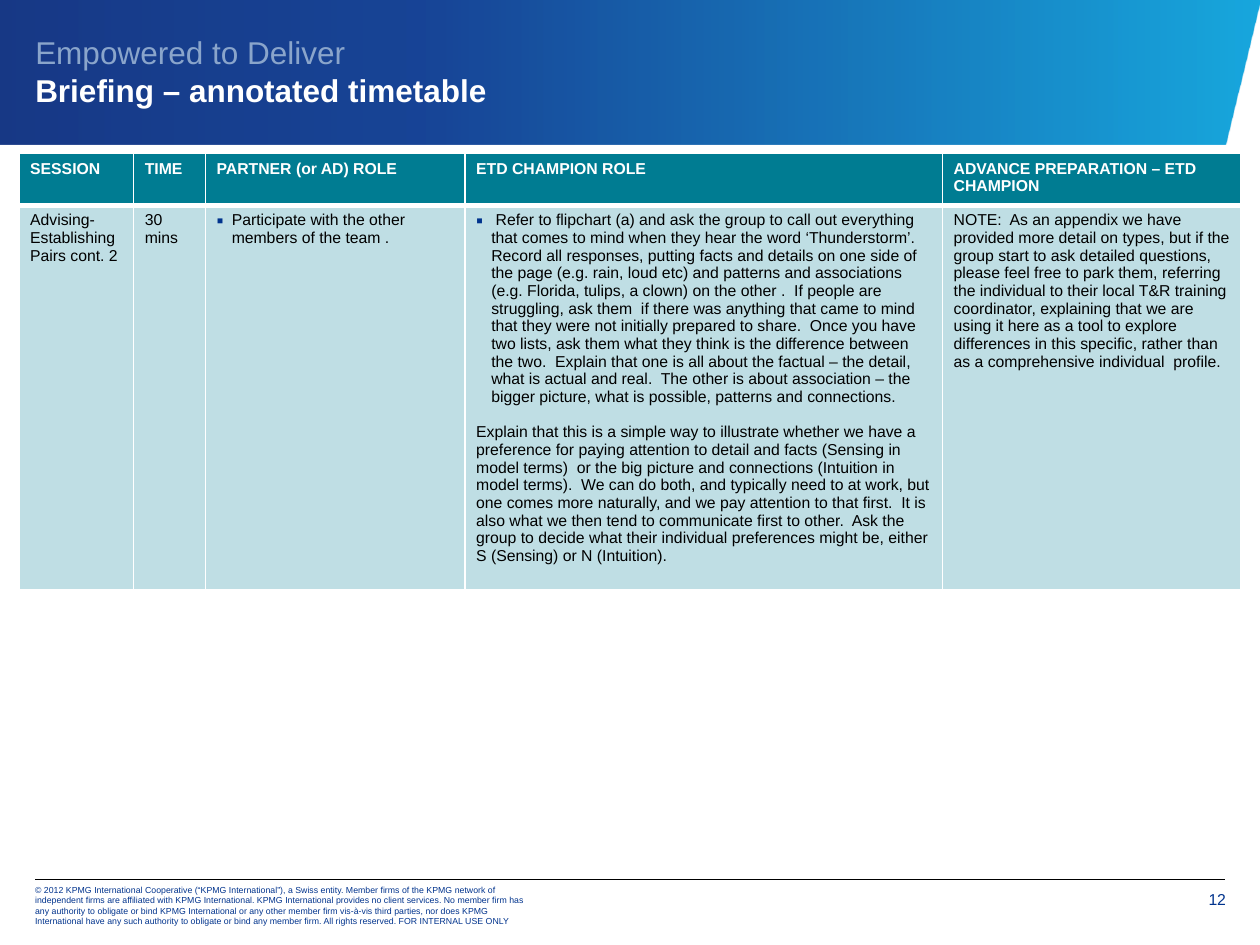
from lxml import etree
from pptx import Presentation
from pptx.dml.color import RGBColor
from pptx.enum.shapes import MSO_CONNECTOR
from pptx.enum.text import MSO_ANCHOR, PP_ALIGN
from pptx.oxml import parse_xml
from pptx.oxml.ns import nsdecls, qn
from pptx.util import Inches, Pt

STRAIGHT = MSO_CONNECTOR.STRAIGHT
MIDDLE = MSO_ANCHOR.MIDDLE
LEFT = PP_ALIGN.LEFT
RIGHT = PP_ALIGN.RIGHT

FONT = "Arial"
COLORS = {
    "navy": "00257A",
    "blue": "00338D",
    "sky": "009FDA",
    "teal": "007C92",
    "mist": "BFDEE4",
    "haze": "8AA5CB",
    "white": "FFFFFF",
    "black": "000000",
}

deck = Presentation()
deck.slide_width = Inches(10)
deck.slide_height = Inches(7.5)
COLUMN = deck.slide_width / 100
ROW = deck.slide_height / 75
page = deck.slides.add_slide(deck.slide_layouts[5])


def place(left, top, width, height):
    return int(left * COLUMN), int(top * ROW), int(width * COLUMN), int(height * ROW)


def style(font, size, color, bold=False):
    font.name = FONT
    font.size = Pt(size)
    font.bold = bold
    font.color.rgb = RGBColor.from_string(COLORS[color])


outline = page.shapes.build_freeform(int(100 * COLUMN), 0)
outline.add_line_segments(
    [(0, 0), (0, int(11.5 * ROW)), (int(97.2 * COLUMN), int(11.5 * ROW))], close=True
)
band = outline.convert_to_shape()
band.shadow.inherit = False
band.line.fill.background()
band.fill.gradient()
band.fill.gradient_angle = 0
stops = band._element.spPr.find(qn("a:gradFill")).find(qn("a:gsLst"))
for stop in list(stops):
    stops.remove(stop)
for position, color in [(0, "navy"), (35, "blue"), (100, "sky")]:
    stops.append(parse_xml(
        f'<a:gs {nsdecls("a")} pos="{position * 1000}"><a:srgbClr val="{COLORS[color]}">'
        '<a:alpha val="90000"/></a:srgbClr></a:gs>'
    ))

title = page.shapes.title
page.shapes._spTree.append(title._element)
title.left, title.top, title.width, title.height = place(2.8, 1.3, 94.5, 8.7)
frame = title.text_frame
frame.text = "Empowered to Deliver\vBriefing – annotated timetable"
frame.word_wrap = True
frame.vertical_anchor = MIDDLE
frame.margin_left = frame.margin_top = frame.margin_right = frame.margin_bottom = 0
heading = frame.paragraphs[0]
heading.alignment = LEFT
heading.line_spacing = 1.0
for span, color, bold in zip(heading.runs, ["haze", "white"], [False, True]):
    style(span.font, 18, color, bold)

timetable = [
    ("SESSION", 9.1, ["Advising- Establishing Pairs cont. 2"], False),
    ("TIME", 5.7, ["30 mins"], False),
    ("PARTNER (or AD) ROLE", 20.6,
     ["Participate with the other members of the team ."], True),
    ("ETD CHAMPION ROLE", 37.9, [
        " Refer to flipchart (a) and ask the group to call out everything that comes to "
        "mind when they hear the word ‘Thunderstorm’. Record all responses, putting facts "
        "and details on one side of the page (e.g. rain, loud etc) and patterns and "
        "associations (e.g. Florida, tulips, a clown) on the other .  If people are "
        "struggling, ask them  if there was anything that came to mind that they were not "
        "initially prepared to share.  Once you have two lists, ask them what they think is "
        "the difference between the two.  Explain that one is all about the factual – the "
        "detail, what is actual and real.  The other is about association – the bigger "
        "picture, what is possible, patterns and connections.",
        "Explain that this is a simple way to illustrate whether we have a preference for "
        "paying attention to detail and facts (Sensing in model terms)  or the big picture "
        "and connections (Intuition in model terms).  We can do both, and typically need to "
        "at work, but one comes more naturally, and we pay attention to that first.  It is "
        "also what we then tend to communicate first to other.  Ask the group to decide "
        "what their individual preferences might be, either S (Sensing) or N (Intuition).",
    ], True),
    ("ADVANCE PREPARATION – ETD CHAMPION", 23.7, [
        "NOTE:  As an appendix we have provided more detail on types, but if the group start "
        "to ask detailed questions, please feel free to park them, referring the individual "
        "to their local T&R training coordinator, explaining that we are using it here as a "
        "tool to explore differences in this specific, rather than as a comprehensive "
        "individual  profile.",
    ], False),
]
table = page.shapes.add_table(
    2, len(timetable), *place(1.5, 12.2, 97, 34.6)
).table
table.first_row = False
table.horz_banding = False
table.rows[0].height = int(4.1 * ROW)
table.rows[1].height = int(30.5 * ROW)

for number, (header, width, body, bulleted) in enumerate(timetable):
    table.columns[number].width = int(width * COLUMN)
    rows = [
        ([header], "teal", "white", True, {"L": 1, "R": 1, "T": 1, "B": 3}),
        (body, "mist", "black", False, {"L": 1, "R": 1, "T": 3, "B": 1}),
    ]
    for row, (texts, fill, color, bold, borders) in enumerate(rows):
        cell = table.cell(row, number)
        cell.margin_left = cell.margin_right = Inches(0.09)
        cell.margin_top = cell.margin_bottom = Inches(0.05)
        cell.text_frame.text = "\n".join(texts)
        for index, para in enumerate(cell.text_frame.paragraphs):
            if index:
                para.space_before = Pt(10)
            elif row and bulleted:
                properties = para._p.get_or_add_pPr()
                properties.set("marL", str(Inches(0.12)))
                properties.set("indent", str(-Inches(0.12)))
                bullet_color = etree.SubElement(properties, qn("a:buClr"))
                etree.SubElement(bullet_color, qn("a:srgbClr"), val=COLORS["blue"])
                etree.SubElement(properties, qn("a:buSzPct"), val="125000")
                etree.SubElement(properties, qn("a:buFont"), typeface=FONT)
                etree.SubElement(properties, qn("a:buChar"), char="▪")
            for span in para.runs:
                style(span.font, 9, color, bold)
        cell_properties = cell._tc.get_or_add_tcPr()
        for side, points in borders.items():
            border = etree.SubElement(cell_properties, qn(f"a:ln{side}"), w=str(Pt(points)))
            paint = etree.SubElement(border, qn("a:solidFill"))
            etree.SubElement(paint, qn("a:srgbClr"), val=COLORS["white"])
        cell.fill.solid()
        cell.fill.fore_color.rgb = RGBColor.from_string(COLORS[fill])

rule_left, rule_top, rule_right, rule_bottom = place(2.8, 69.8, 97.2, 69.8)
rule = page.shapes.add_connector(STRAIGHT, rule_left, rule_top, rule_right, rule_bottom)
rule.line.width = Pt(0.25)
rule.line.color.rgb = RGBColor.from_string(COLORS["black"])
etree.SubElement(rule._element.spPr, qn("a:effectLst"))

number_box = page.shapes.add_textbox(*place(92.2, 69.8, 5.1, 3.1))
frame = number_box.text_frame
frame.word_wrap = True
frame.margin_left = frame.margin_top = Inches(0.08)
frame.margin_right = frame.margin_bottom = 0
frame.text = "12"
frame.paragraphs[0].alignment = RIGHT
style(frame.paragraphs[0].runs[0].font, 9, "blue")

copyright_box = page.shapes.add_textbox(*place(1.8, 70.1, 41.5, 3.5))
frame = copyright_box.text_frame
frame.word_wrap = True
frame.vertical_anchor = MIDDLE
frame.text = (
    "© 2012 KPMG International Cooperative (“KPMG International”), a Swiss entity. Member "
    "firms of the KPMG network of independent firms are affiliated with KPMG International. "
    "KPMG International provides no client services. No member firm has any authority to "
    "obligate or bind KPMG International or any other member firm vis-à-vis third parties, "
    "nor does KPMG International have any such authority to obligate or bind any member "
    "firm. All rights reserved. FOR INTERNAL USE ONLY"
)
frame.paragraphs[0].line_spacing = Pt(6)
style(frame.paragraphs[0].runs[0].font, 5, "blue")

deck.save("out.pptx")
